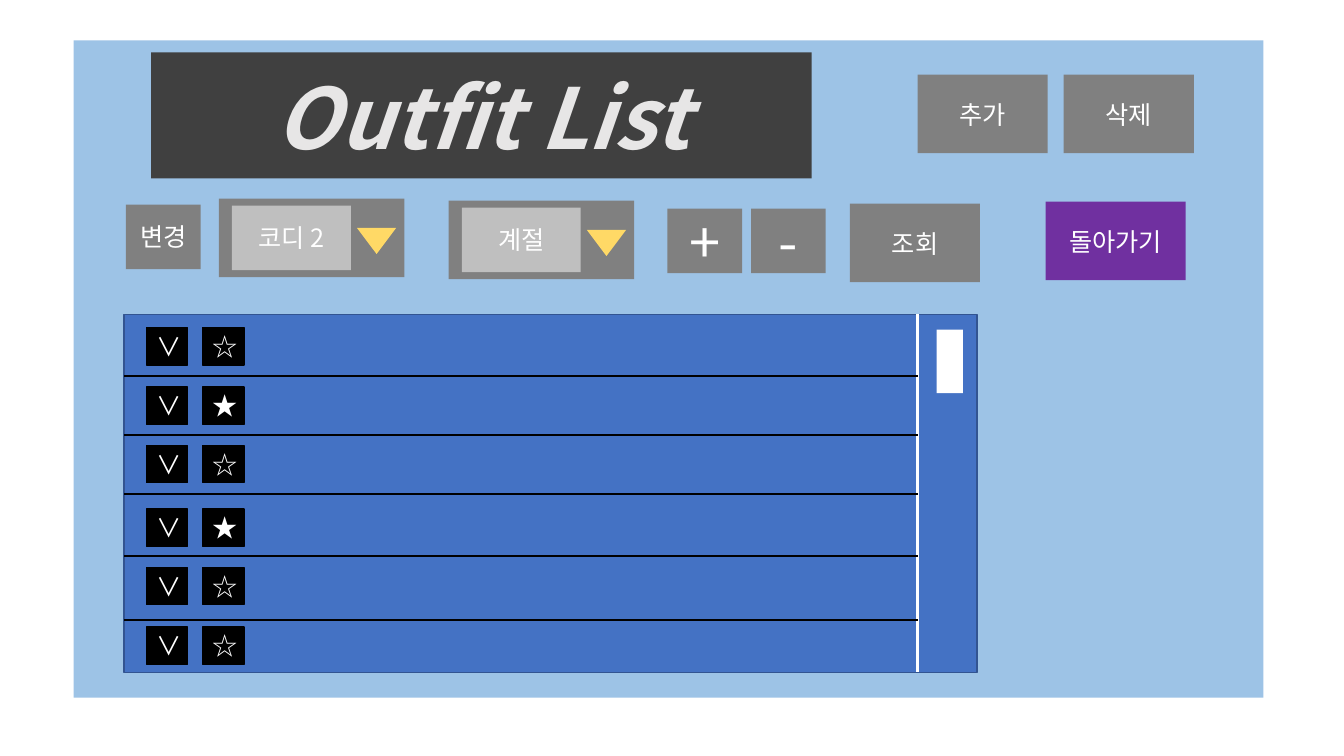
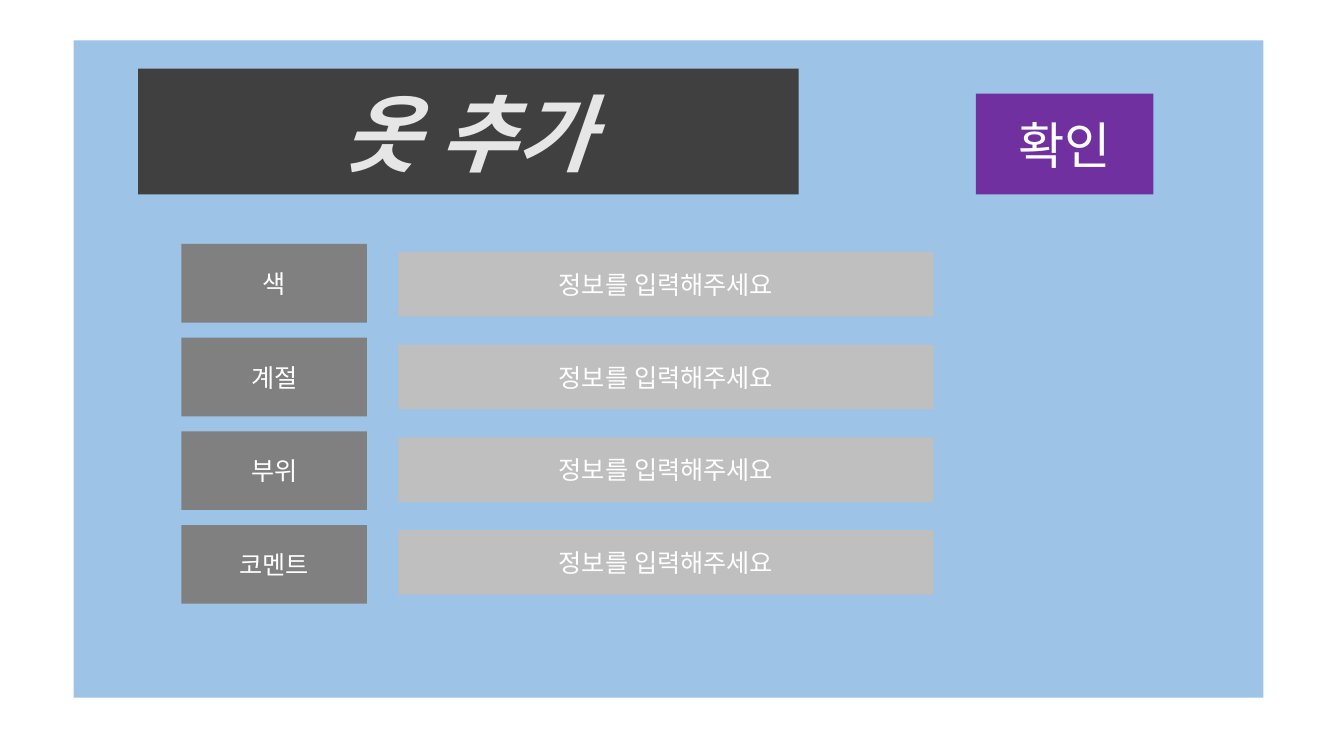
from dataclasses import dataclass
from typing import NamedTuple

from lxml import etree
from pptx import Presentation
from pptx.dml.color import RGBColor
from pptx.enum.shapes import MSO_CONNECTOR, MSO_SHAPE
from pptx.enum.text import MSO_ANCHOR, MSO_AUTO_SIZE, PP_ALIGN
from pptx.oxml.ns import qn
from pptx.util import Inches, Pt

RECTANGLE = MSO_SHAPE.RECTANGLE
TRIANGLE = MSO_SHAPE.ISOSCELES_TRIANGLE
STRAIGHT = MSO_CONNECTOR.STRAIGHT
MIDDLE = MSO_ANCHOR.MIDDLE
CENTER = PP_ALIGN.CENTER
NO_AUTOFIT = MSO_AUTO_SIZE.NONE
TITLE_ONLY = 5


@dataclass(frozen=True)
class Theme:
    font: str = "Noto Sans CJK KR"
    panel: str = "9DC3E6"
    banner: str = "404040"
    banner_text: str = "E7E6E6"
    button: str = "808080"
    field: str = "BFBFBF"
    accent: str = "7030A0"
    arrow: str = "FFD966"
    list_fill: str = "4472C4"
    list_edge: str = "325491"
    white: str = "FFFFFF"
    black: str = "000000"
    body_size: int = 18
    confirm_size: int = 36
    sign_size: int = 40
    title_size: int = 60
    thin: float = 1
    rule: float = 1.5


THEME = Theme()


class Box(NamedTuple):
    left: float
    top: float
    width: float
    height: float


class Button(NamedTuple):
    text: str
    box: Box
    fill: str = THEME.button
    size: int = THEME.body_size


class Dropdown(NamedTuple):
    text: str
    left: float
    top: float


class OutfitRow(NamedTuple):
    top: float
    badge_top: float
    star: str


# Shared drawing functions
def color(value: str) -> RGBColor:
    return RGBColor.from_string(value)


def place(shape, box: Box) -> None:
    shape.left, shape.top, shape.width, shape.height = map(Inches, box)


def write(shape, text: str, *, size: int = THEME.body_size, ink: str = THEME.white,
          bold: bool = False, italic: bool = False) -> None:
    frame = shape.text_frame
    frame.word_wrap = True
    frame.auto_size = NO_AUTOFIT
    frame.vertical_anchor = MIDDLE
    para = frame.paragraphs[0]
    para.alignment = CENTER
    span = para.add_run()
    span.text = text
    font = span.font
    font.name, font.size, font.bold, font.italic = THEME.font, Pt(size), bold, italic
    font.color.rgb = color(ink)
    # Korean glyphs take the East Asian typeface
    etree.SubElement(span._r.get_or_add_rPr(), qn("a:ea"), typeface=THEME.font)


def add_box(slide, box: Box, fill: str, *, kind=RECTANGLE, edge: str = ""):
    shape = slide.shapes.add_shape(kind, *map(Inches, box))
    shape.shadow.inherit = False
    shape.fill.solid()
    shape.fill.fore_color.rgb = color(fill)
    if edge:
        shape.line.color.rgb = color(edge)
        shape.line.width = Pt(THEME.thin)
    else:
        shape.line.fill.background()
    return shape


def add_rule(slide, start: tuple[float, float], end: tuple[float, float], ink: str) -> None:
    rule = slide.shapes.add_connector(STRAIGHT, *map(Inches, start + end))
    rule.line.color.rgb = color(ink)
    rule.line.width = Pt(THEME.rule)
    etree.SubElement(rule._element.spPr, qn("a:effectLst"))


def add_button(slide, button: Button) -> None:
    write(add_box(slide, button.box, button.fill), button.text, size=button.size)


def add_dropdown(slide, menu: Dropdown) -> None:
    left, top = menu.left, menu.top
    add_box(slide, Box(left, top, 1.84, 0.78), THEME.button)
    add_button(slide, Button(menu.text, Box(left + 0.13, top + 0.07, 1.18, 0.64), THEME.field))
    arrow = add_box(slide, Box(left + 1.37, top + 0.29, 0.39, 0.26), THEME.arrow, kind=TRIANGLE)
    arrow.rotation = 180


def add_screen(deck, text: str, left: float, top: float):
    """Add a slide with the light panel and its dark title banner."""
    slide = deck.slides.add_slide(deck.slide_layouts[TITLE_ONLY])
    title = slide.shapes.title
    place(title, Box(left, top, 6.55, 1.25))
    title.fill.solid()
    title.fill.fore_color.rgb = color(THEME.banner)
    write(title, text, size=THEME.title_size, ink=THEME.banner_text, bold=True, italic=True)
    panel = add_box(slide, Box(0.73, 0.4, 11.8, 6.52), THEME.panel)
    title._element.addprevious(panel._element)
    return slide


# Outfit list screen
LIST_BOX = Box(1.23, 3.12, 8.46, 3.55)
SCROLL_LEFT = 9.1
BADGE_WIDTH, BADGE_HEIGHT = 0.41, 0.37
CHECK_LEFT, STAR_LEFT = 1.45, 2.01

LIST_BUTTONS = (
    Button("추가", Box(9.1, 0.74, 1.29, 0.78)),
    Button("삭제", Box(10.55, 0.74, 1.29, 0.78)),
    Button("돌아가기", Box(10.37, 2, 1.39, 0.78), THEME.accent),
    Button("조회", Box(8.43, 2.02, 1.29, 0.78)),
    Button("변경", Box(1.25, 2.03, 0.74, 0.64)),
    Button("+", Box(6.62, 2.07, 0.74, 0.64), size=THEME.sign_size),
    Button("-", Box(7.45, 2.07, 0.74, 0.64), size=THEME.sign_size),
)
DROPDOWNS = (Dropdown("코디 2", 2.17, 1.97), Dropdown("계절", 4.45, 1.99))
OUTFIT_ROWS = (
    OutfitRow(3.12, 3.25, "☆"),
    OutfitRow(3.73, 3.84, "★"),
    OutfitRow(4.32, 4.42, "☆"),
    OutfitRow(4.9, 5.05, "★"),
    OutfitRow(5.52, 5.63, "☆"),
    OutfitRow(6.15, 6.22, "☆"),
)


def build_outfit_list(deck) -> None:
    slide = add_screen(deck, "Outfit List", 1.5, 0.52)
    for button in LIST_BUTTONS:
        add_button(slide, button)
    for menu in DROPDOWNS:
        add_dropdown(slide, menu)

    # List body and scroll bar
    add_box(slide, LIST_BOX, THEME.list_fill, edge=THEME.list_edge)
    add_box(slide, Box(9.29, 3.27, 0.26, 0.63), THEME.white)
    bottom = LIST_BOX.top + LIST_BOX.height
    add_rule(slide, (SCROLL_LEFT, LIST_BOX.top), (SCROLL_LEFT, bottom), THEME.white)

    # Row dividers and badges
    for row in OUTFIT_ROWS:
        if row.top > LIST_BOX.top:
            add_rule(slide, (LIST_BOX.left, row.top), (SCROLL_LEFT, row.top), THEME.black)
        for left, mark in ((CHECK_LEFT, "∨"), (STAR_LEFT, row.star)):
            badge = Box(left, row.badge_top, BADGE_WIDTH, BADGE_HEIGHT)
            write(add_box(slide, badge, THEME.black, edge=THEME.black), mark)


# Add clothes screen
FORM_LABELS = ("색", "계절", "부위", "코멘트")
FIELD_PROMPT = "정보를 입력해주세요"
LABEL_TOP, LABEL_PITCH = 2.42, 0.93
FIELD_TOP, FIELD_PITCH = 2.5, 0.92


def build_add_clothes(deck) -> None:
    slide = add_screen(deck, "옷 추가", 1.37, 0.68)
    for index, label in enumerate(FORM_LABELS):
        label_top = LABEL_TOP + index * LABEL_PITCH
        field_top = FIELD_TOP + index * FIELD_PITCH
        add_button(slide, Button(label, Box(1.8, label_top, 1.84, 0.78)))
        add_button(slide, Button(FIELD_PROMPT, Box(3.95, field_top, 5.31, 0.64), THEME.field))
    add_button(slide, Button("확인", Box(9.68, 0.93, 1.76, 1), THEME.accent, THEME.confirm_size))


def main() -> None:
    deck = Presentation()
    deck.slide_width, deck.slide_height = Inches(13.33), Inches(7.5)
    build_outfit_list(deck)
    build_add_clothes(deck)
    deck.save("out.pptx")


main()
